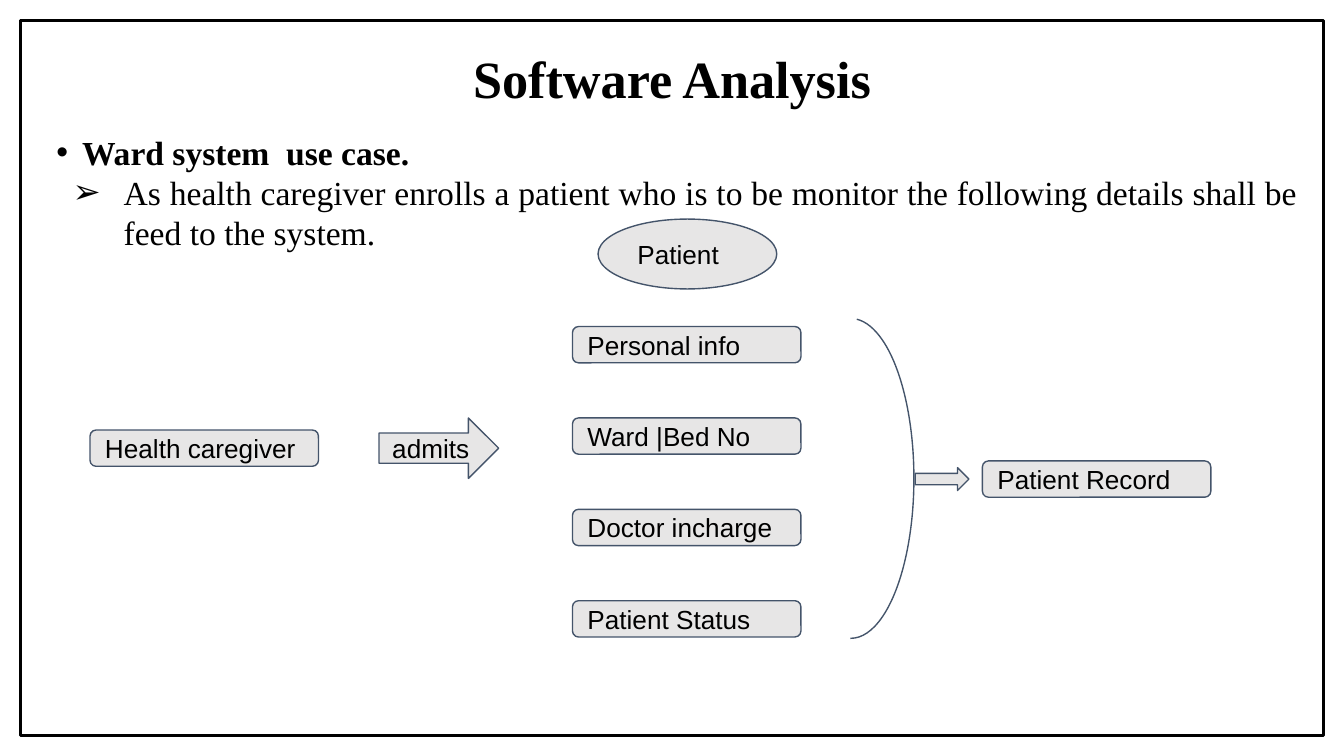
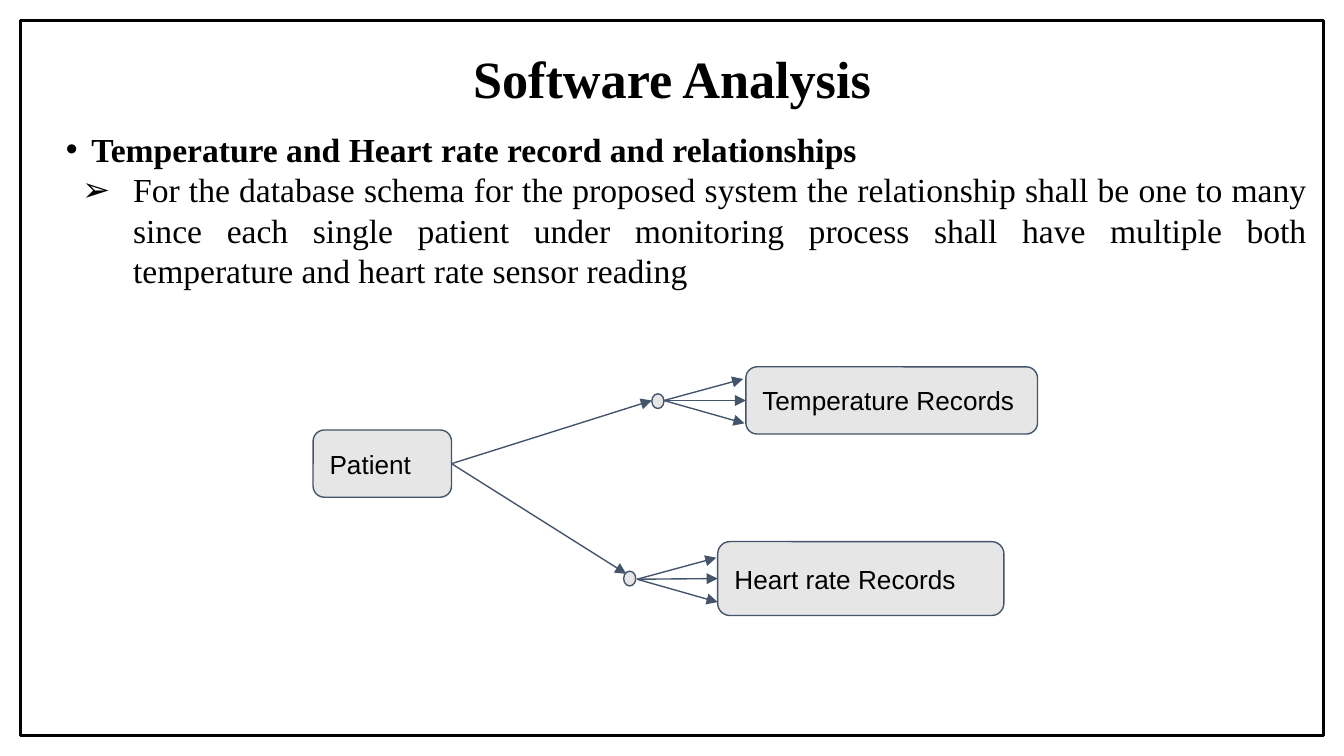
from lxml import etree
from pptx import Presentation
from pptx.dml.color import RGBColor
from pptx.enum.shapes import MSO_CONNECTOR, MSO_SHAPE as Shape
from pptx.enum.text import MSO_ANCHOR as Anchor, MSO_AUTO_SIZE as AutoSize, PP_ALIGN as Align
from pptx.oxml.ns import qn
from pptx.util import Pt

PX = 9144  # 100 px to the inch
BLACK = RGBColor(0x00, 0x00, 0x00)
GREY = RGBColor(0xE7, 0xE6, 0xE6)
SLATE = RGBColor(0x44, 0x54, 0x6A)
SERIF, SANS = "Times New Roman", "Arial"


def add_box(page, kind, left, top, width, height, label=""):
    box = page.shapes.add_shape(kind, left * PX, top * PX, width * PX, height * PX)
    box.shadow.inherit = False
    box.fill.solid()
    box.fill.fore_color.rgb = GREY
    box.line.color.rgb = SLATE
    box.line.width = Pt(0.75)
    if label:
        frame = box.text_frame
        frame.word_wrap = True
        frame.vertical_anchor = Anchor.MIDDLE
        frame.margin_left = frame.margin_right = 10 * PX
        frame.margin_top = frame.margin_bottom = 10 * PX
        para = frame.paragraphs[0]
        para.alignment = Align.LEFT
        span = para.add_run()
        span.text = label
        span.font.size, span.font.name = Pt(14), SANS
        span.font.color.rgb = BLACK
    return box


def add_arrow(page, start, end, source=None, target=None):
    arrow = page.shapes.add_connector(
        MSO_CONNECTOR.STRAIGHT, start[0] * PX, start[1] * PX, end[0] * PX, end[1] * PX)
    if source:
        arrow.begin_connect(source, 3)
    if target:
        arrow.end_connect(target, 1)
    arrow.line.color.rgb = SLATE
    arrow.line.width = Pt(0.75)
    outline = arrow.element.spPr.get_or_add_ln()
    etree.SubElement(outline, qn("a:tailEnd"), type="triangle")
    etree.SubElement(arrow.element.spPr, qn("a:effectLst"))


# Wide page, 16 to 9
deck = Presentation()
deck.slide_width = 1000 * PX
deck.slide_height = 1000 * PX * 9 // 16
layout = deck.slide_layouts[1]

# Titles and lists: body left, body top, heading, detail
texts = [
    (32, 93, "Ward system  use case.",
     "As health caregiver enrolls a patient who is to be monitor the following "
     "details shall be feed to the system."),
    (39, 91, "Temperature and Heart rate record and relationships",
     "For the database schema for the proposed system the relationship shall be "
     "one to many since each single patient under monitoring process shall have "
     "multiple both temperature and heart rate sensor reading"),
]
pages = []
for left, top, heading, detail in texts:
    page = deck.slides.add_slide(layout)
    pages.append(page)
    title, body = page.shapes.title, page.placeholders[1]
    for holder, place, anchor in [(title, (28, 30, 944, 61), Anchor.MIDDLE),
                                  (body, (left, top, 944, 432), Anchor.TOP)]:
        holder.left, holder.top, holder.width, holder.height = [n * PX for n in place]
        frame = holder.text_frame
        frame.word_wrap = True
        frame.auto_size = AutoSize.NONE
        frame.vertical_anchor = anchor
        frame.margin_left = frame.margin_right = 10 * PX
        frame.margin_top = frame.margin_bottom = 5 * PX

    title_para = title.text_frame.paragraphs[0]
    first = body.text_frame.paragraphs[0]
    second = body.text_frame.add_paragraph()
    for para, words, size, bold, align, spacing in [
            (title_para, "Software Analysis", 28, True, Align.CENTER, 0.9),
            (first, heading, 18, True, Align.JUSTIFY, 1.0),
            (second, detail, 18, False, Align.JUSTIFY, 1.0)]:
        para.alignment, para.line_spacing = align, spacing
        para.space_before = para.space_after = Pt(0)
        span = para.add_run()
        span.text = words
        span.font.size, span.font.name, span.font.bold = Pt(size), SERIF, bold
        span.font.color.rgb = BLACK

    for para, mark, margin, hang in [(first, "•", 19, 19), (second, "➢", 50, 38)]:
        props = para._p.get_or_add_pPr()
        props.set("marL", str(margin * PX))
        props.set("indent", str(-hang * PX))
        colour = etree.SubElement(props, qn("a:buClr"))
        etree.SubElement(colour, qn("a:srgbClr"), val=str(BLACK))
        etree.SubElement(props, qn("a:buFont"), typeface=SANS)
        etree.SubElement(props, qn("a:buChar"), char=mark)

ward, records = pages

# Border shared through the master
border = add_box(ward, Shape.RECTANGLE, 15, 15, 970, 532)
border.fill.background()
border.line.color.rgb = BLACK
border.line.width = Pt(1.5)
deck.slide_master.shapes.element.append(border.element)

# Ward use case: caregiver, patient details, record
add_box(ward, Shape.ROUNDED_RECTANGLE, 67, 320, 170, 27, "Health caregiver")
details = ["Personal info", "Ward |Bed No", "Doctor incharge", "Patient Status"]
for row, label in enumerate(details):
    add_box(ward, Shape.ROUNDED_RECTANGLE, 426, 243 + 68 * row, 170, 27, label)
bracket = add_box(ward, Shape.ARC, 514, 309, 238, 94)
bracket.fill.background()
bracket.rotation = 90
bracket.adjustments[0], bracket.adjustments[1] = 109.3, 0.06
add_box(ward, Shape.ROUNDED_RECTANGLE, 731, 343, 170, 27, "Patient Record")
add_box(ward, Shape.RIGHT_ARROW, 282, 311, 89, 45, "admits")
add_box(ward, Shape.RIGHT_ARROW, 681, 348, 40, 17)
add_box(ward, Shape.OVAL, 445, 163, 133, 52, "Patient")

# One patient to many records
patient = add_box(records, Shape.ROUNDED_RECTANGLE, 233, 320, 103, 50, "Patient")
branches = [
    ("Temperature Records", (555, 273, 217, 50), (485, 293), (485, 298), (494, 298)),
    ("Heart rate Records", (534, 403, 213, 55), (464, 425), (466, 427), (474, 431)),
]
for label, place, node, reach, fan in branches:
    target = add_box(records, Shape.ROUNDED_RECTANGLE, *place, label)
    add_arrow(records, (336, 345), reach, source=patient)
    add_box(records, Shape.OVAL, *node, 9, 11)
    x, y = fan
    add_arrow(records, fan, (x + 59, y - 16))
    add_arrow(records, fan, (x + 60, y), target=target)
    add_arrow(records, fan, (x + 60, y + 17))

deck.save("out.pptx")
